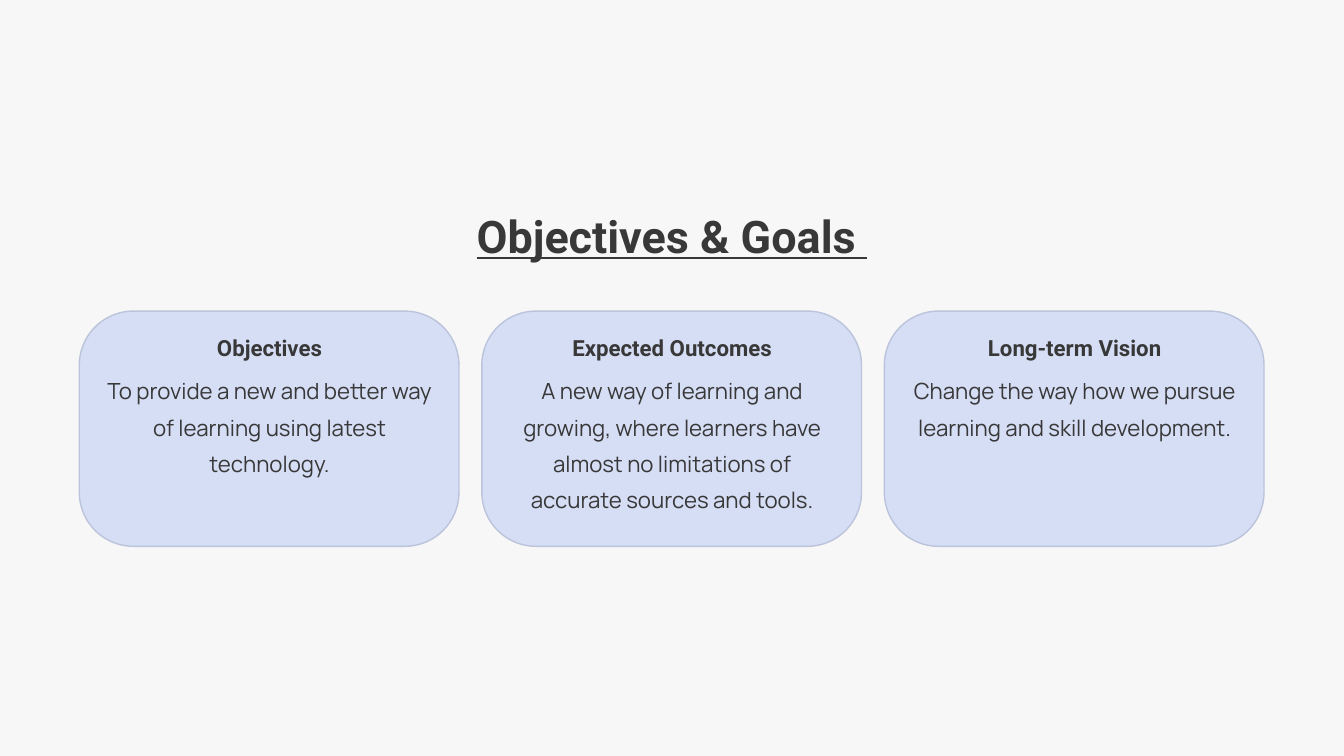
"""Build the Objectives & Goals slide with three rounded cards."""
from pptx import Presentation
from pptx.dml.color import RGBColor
from pptx.enum.shapes import MSO_SHAPE
from pptx.enum.text import PP_ALIGN
from pptx.util import Inches, Pt

COLORS = {"page": "F7F7F7", "card": "D6DEF5", "edge": "BCC4DB", "ink": "383838"}
CARDS = [
    ("Objectives", "To provide a new and better way of learning using latest technology.", 1.76),
    ("Expected Outcomes", "A new way of learning and growing, where learners have "
     "almost no limitations of accurate sources and tools.", 2.3),
    ("Long-term Vision", "Change the way how we pursue learning and skill development.", 1.76),
]
LEFT, TOP, WIDTH, HEIGHT, STEP = 1.18, 4.63, 5.65, 3.5, 5.99


def color(name):
    return RGBColor.from_string(COLORS[name])


def add_text(text, left, top, width, height, size, font, lead, bold=False, under=False):
    box = slide.shapes.add_textbox(Inches(left), Inches(top), Inches(width), Inches(height))
    frame = box.text_frame
    frame.word_wrap = True
    frame.margin_left = frame.margin_top = frame.margin_right = frame.margin_bottom = 0
    para = frame.paragraphs[0]
    para.alignment = PP_ALIGN.CENTER
    para.line_spacing = Pt(lead)
    run = para.add_run()
    run.text = text
    run.font.name = font
    run.font.size = Pt(size)
    run.font.bold = bold
    run.font.underline = under
    run.font.color.rgb = color("ink")


deck = Presentation()
deck.slide_width = Inches(20)
deck.slide_height = Inches(11.25)
slide = deck.slides.add_slide(deck.slide_layouts[6])
slide.background.fill.solid()
slide.background.fill.fore_color.rgb = color("page")

add_text("Objectives & Goals ", 5.33, 3.06, 9.34, 0.85, 48.1, "Roboto", 60.6, True, True)

for index, (title, body, tall) in enumerate(CARDS):
    left = LEFT + index * STEP
    card = slide.shapes.add_shape(MSO_SHAPE.ROUNDED_RECTANGLE, Inches(left), Inches(TOP),
                                  Inches(WIDTH), Inches(HEIGHT))
    card.adjustments[0] = 0.23
    card.shadow.inherit = False
    card.fill.solid()
    card.fill.fore_color.rgb = color("card")
    card.line.color.rgb = color("edge")
    card.line.width = Pt(1.5)
    add_text(title, left + 1.14, 4.96, 3.38, 0.45, 23.8, "Roboto", 30, True)
    add_text(body, left + 0.36, 5.48, 4.94, tall, 23.8, "Manrope", 38.8)

deck.save("out.pptx")
